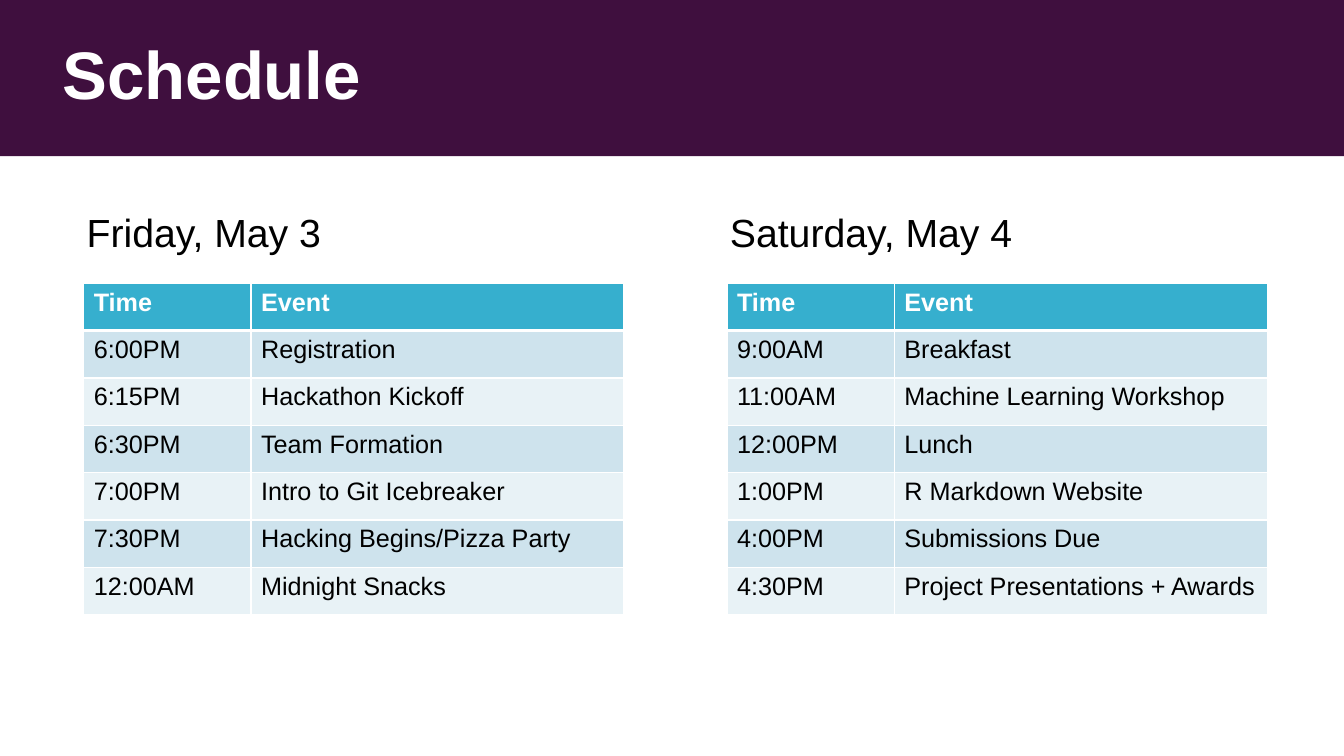
"""Build the two-day hackathon schedule slide."""
from dataclasses import dataclass

from lxml.etree import SubElement
from pptx import Presentation
from pptx.dml.color import RGBColor as Rgb
from pptx.enum.shapes import MSO_SHAPE as Shape
from pptx.enum.text import MSO_ANCHOR as Anchor, MSO_AUTO_SIZE as AutoSize, PP_ALIGN as Align
from pptx.oxml.ns import qn
from pptx.util import Inches, Pt


@dataclass(frozen=True)
class Theme:
    font: str = "Arial"
    plum: str = "3F0F3E"
    teal: str = "36AFCE"
    stripes: tuple = ("CEE3ED", "E8F2F6")
    white: str = "FFFFFF"
    black: str = "000000"
    title_size: int = 48
    day_size: int = 28
    cell_size: int = 18


class ScheduleSlide:
    def __init__(self, deck, theme):
        self.theme = theme
        self.slide = deck.slides.add_slide(deck.slide_layouts[4])
        self.holders = {p.placeholder_format.idx: p for p in self.slide.placeholders}
        for idx in (2, 4):
            unused = self.holders[idx].element
            unused.getparent().remove(unused)

    def add_text(self, frame, text, size, color, bold=False):
        paragraph = frame.paragraphs[0]
        paragraph.alignment = Align.LEFT
        paragraph.space_before = Pt(0)
        run = paragraph.add_run()
        run.text = text
        run.font.name = self.theme.font
        run.font.size = Pt(size)
        run.font.bold = bold
        run.font.color.rgb = Rgb.from_string(color)

    def band(self, width, height):
        band = self.slide.shapes.add_shape(Shape.RECTANGLE, 0, 0, Inches(width), Inches(height))
        band.shadow.inherit = False
        band.fill.solid()
        band.fill.fore_color.rgb = Rgb.from_string(self.theme.plum)
        band.line.fill.background()
        self.slide.shapes.element.insert(2, band.element)

    def heading(self, idx, text, box, size, color, bold=False):
        holder = self.holders[idx]
        holder.left, holder.top, holder.width, holder.height = map(Inches, box)
        frame = holder.text_frame
        frame.auto_size = AutoSize.NONE
        frame.word_wrap = True
        frame.vertical_anchor = Anchor.TOP
        self.add_text(frame, text, size, color, bold)

    def borders(self, cell, bottom):
        properties = cell._tc.get_or_add_tcPr()
        for side, points in (("L", 1), ("R", 1), ("T", 1), ("B", bottom)):
            line = SubElement(properties, qn(f"a:ln{side}"), w=str(Pt(points)))
            paint = SubElement(line, qn("a:solidFill"))
            SubElement(paint, qn("a:srgbClr"), val=self.theme.white)

    def timetable(self, left, top, columns, row_height, events):
        theme = self.theme
        rows = [("Time", "Event"), *events]
        table = self.slide.shapes.add_table(
            len(rows), len(columns), Inches(left), Inches(top),
            Inches(sum(columns)), Inches(row_height * len(rows))).table
        for column, width in zip(table.columns, columns):
            column.width = Inches(width)
        for r, entry in enumerate(rows):
            header = r == 0
            fill = theme.teal if header else theme.stripes[(r - 1) % 2]
            color = theme.white if header else theme.black
            for c, text in enumerate(entry):
                cell = table.cell(r, c)
                self.borders(cell, 3 if header else 1)
                cell.fill.solid()
                cell.fill.fore_color.rgb = Rgb.from_string(fill)
                self.add_text(cell.text_frame, text, theme.cell_size, color, header)


FRIDAY = [
    ("6:00PM", "Registration"),
    ("6:15PM", "Hackathon Kickoff"),
    ("6:30PM", "Team Formation"),
    ("7:00PM", "Intro to Git Icebreaker"),
    ("7:30PM", "Hacking Begins/Pizza Party"),
    ("12:00AM", "Midnight Snacks"),
]
SATURDAY = [
    ("9:00AM", "Breakfast"),
    ("11:00AM", "Machine Learning Workshop"),
    ("12:00PM", "Lunch"),
    ("1:00PM", "R Markdown Website"),
    ("4:00PM", "Submissions Due"),
    ("4:30PM", "Project Presentations + Awards"),
]


def main():
    theme = Theme()
    deck = Presentation()
    deck.slide_width, deck.slide_height = Inches(13.33), Inches(7.5)
    schedule = ScheduleSlide(deck, theme)
    schedule.band(13.33, 1.55)
    schedule.heading(0, "Schedule", (0.52, 0.27, 12.05, 0.91),
                     theme.title_size, theme.white, bold=True)
    days = [(1, "Friday, May 3", FRIDAY), (3, "Saturday, May 4", SATURDAY)]
    for position, (idx, day, events) in enumerate(days):
        left = 0.76 + 6.38 * position
        schedule.heading(idx, day, (left, 2.02, 3.62, 0.57), theme.day_size, theme.black)
        schedule.timetable(left + 0.07, 2.81, (1.66, 3.7), 0.47, events)
    deck.save("out.pptx")


if __name__ == "__main__":
    main()
